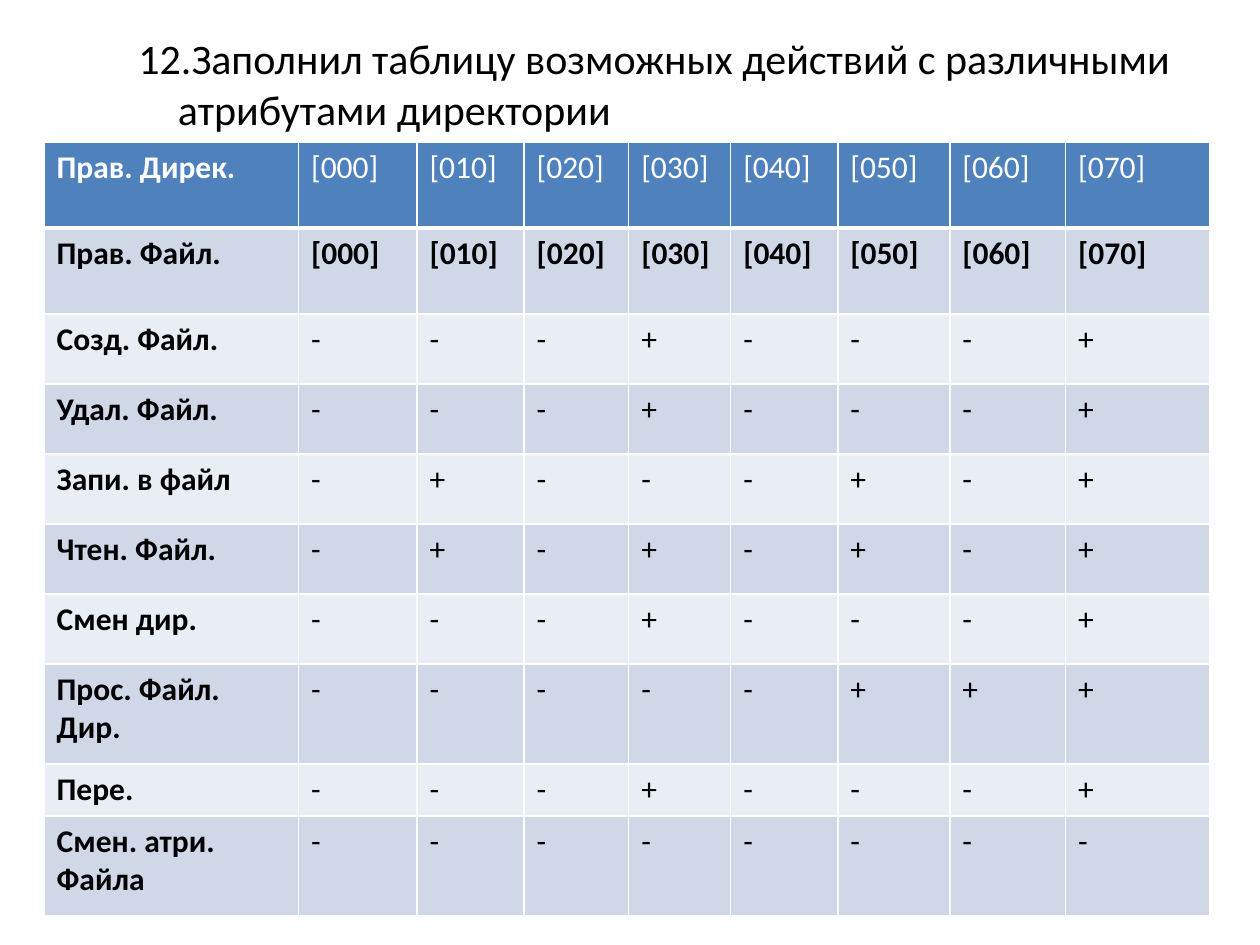
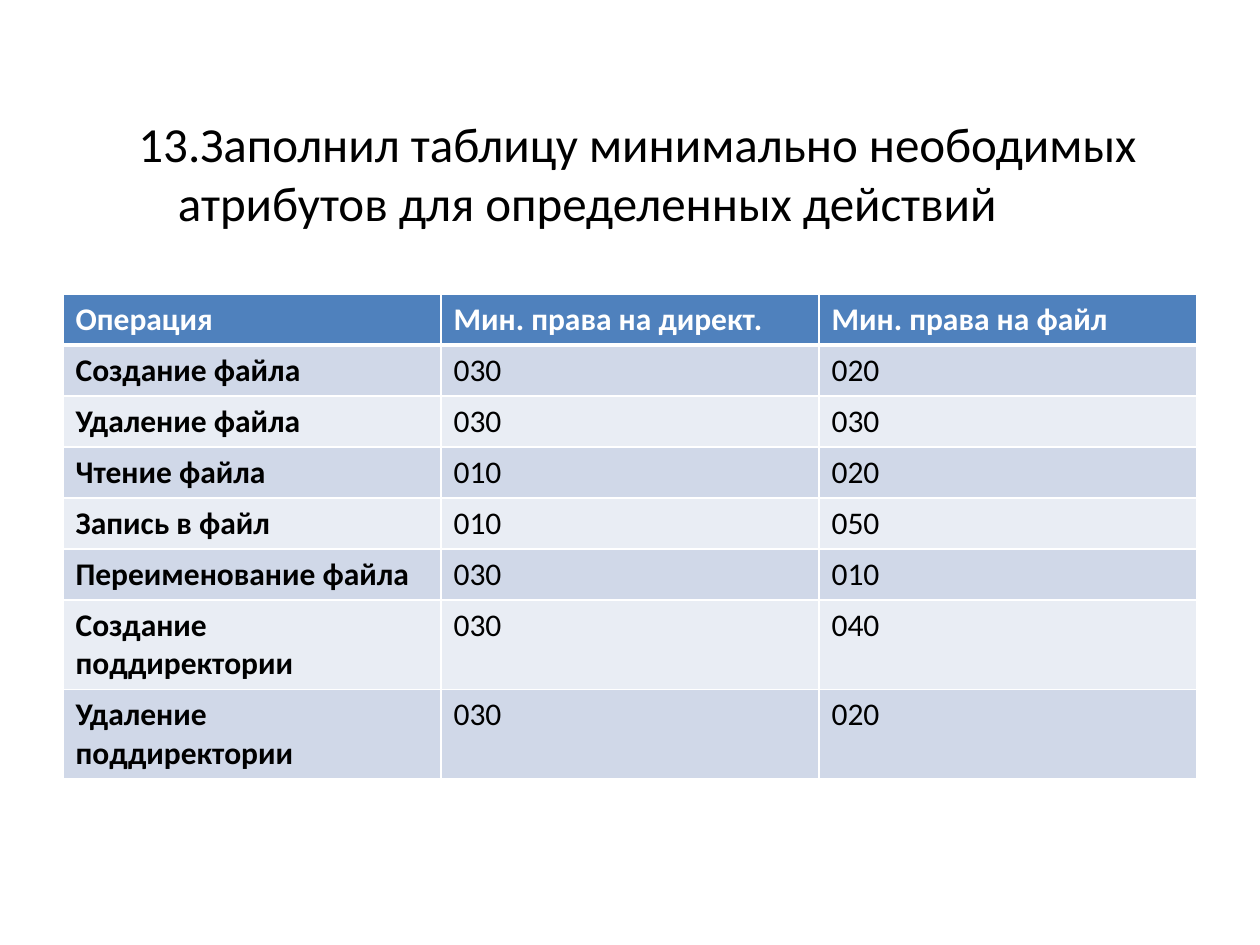
from lxml import etree
from pptx import Presentation
from pptx.dml.color import RGBColor
from pptx.oxml.ns import qn
from pptx.util import Pt

FONT = "Calibri"
BLACK = RGBColor(0x00, 0x00, 0x00)
WHITE = RGBColor(0xFF, 0xFF, 0xFF)
HEADER = RGBColor(0x4F, 0x81, 0xBD)
BANDS = (RGBColor(0xD0, 0xD8, 0xE8), RGBColor(0xE9, 0xED, 0xF4))
CELL_SIZE = 18
BLANK = 6


class Report:
    """Holds the deck style and the current page."""

    def __init__(self):
        self.deck = Presentation()
        self.deck.slide_width, self.deck.slide_height = Pt(720), Pt(540)
        self.page = None

    def new_page(self):
        self.page = self.deck.slides.add_slide(self.deck.slide_layouts[BLANK])

    def add_span(self, para, text, size, color=BLACK, bold=False):
        span = para.add_run()
        span.text = text
        span.font.name = FONT
        span.font.size = Pt(size)
        span.font.bold = bold
        span.font.color.rgb = color

    def step(self, number, text, top, height, size):
        """Numbered step heading with a hanging indent."""
        box = self.page.shapes.add_textbox(Pt(36), Pt(top), Pt(655), Pt(height))
        box.text_frame.word_wrap = True
        para = box.text_frame.paragraphs[0]
        para.level = 1
        para.space_before = Pt(size * 0.2)
        props = para._p.get_or_add_pPr()
        props.set("marL", str(Pt(58.5)))
        props.set("indent", str(-Pt(22.5)))
        etree.SubElement(props, qn("a:buFont"), typeface="+mj-lt")
        etree.SubElement(props, qn("a:buAutoNum"), type="arabicPeriod",
                         startAt=str(number))
        self.add_span(para, text, size)

    def border(self, cell, bottom):
        props = cell._tc.get_or_add_tcPr()
        widths = {"a:lnL": 1, "a:lnR": 1, "a:lnT": 1, "a:lnB": bottom}
        for place, (side, width) in enumerate(widths.items()):
            line = etree.Element(qn(side), w=str(Pt(width)))
            fill = etree.SubElement(line, qn("a:solidFill"))
            etree.SubElement(fill, qn("a:srgbClr"), val=str(WHITE))
            props.insert(place, line)

    def table(self, left, top, widths, heights, rows, is_bold):
        """Banded table; is_bold(row, column) picks the bold cells."""
        frame = self.page.shapes.add_table(
            len(rows), len(widths), Pt(left), Pt(top),
            Pt(sum(widths)), Pt(sum(heights)))
        grid = frame.table
        for column, width in zip(grid.columns, widths):
            column.width = Pt(width)
        for r, (values, height) in enumerate(zip(rows, heights)):
            grid.rows[r].height = Pt(height)
            for c, value in enumerate(values):
                cell = grid.cell(r, c)
                cell.fill.solid()
                cell.fill.fore_color.rgb = BANDS[(r - 1) % 2] if r else HEADER
                self.border(cell, 1 if r else 3)
                self.add_span(cell.text_frame.paragraphs[0], value, CELL_SIZE,
                              BLACK if r else WHITE, is_bold(r, c))


report = Report()

# Page 1: actions allowed by directory attributes
report.new_page()
report.step(12, "Заполнил таблицу возможных действий с различными "
                "атрибутами директории", 15.12, 56.88, 24)
modes = [f"[0{digit}0]" for digit in range(8)]
actions = [
    ("Созд. Файл.", "---+---+"),
    ("Удал. Файл.", "---+---+"),
    ("Запи. в файл", "-+---+-+"),
    ("Чтен. Файл.", "-+-+-+-+"),
    ("Смен дир.", "---+---+"),
    ("Прос. Файл. Дир.", "-----+++"),
    ("Пере.", "---+---+"),
    ("Смен. атри. Файла", "--------"),
]
rights = [["Прав. Дирек.", *modes], ["Прав. Файл.", *modes]]
rights += [[name, *marks] for name, marks in actions]
report.table(
    25.2, 81.36,
    [145.4, 67.7, 61.2, 59.8, 58.3, 61.2, 64, 66.2, 82.4],
    [49, 49] + [40] * 5 + [57.2, 29.8, 57.2],
    rights, lambda r, c: c == 0 or r == 1)

# Page 2: minimum rights for each operation
report.new_page()
report.step(13, "Заполнил таблицу минимально неободимых "
                "атрибутов для определенных действий", 61.2, 79.92, 28)
minimums = [
    ("Операция", "Мин. права на директ.", "Мин. права на файл"),
    ("Создание файла", "030", "020"),
    ("Удаление файла", "030", "030"),
    ("Чтение файла", "010", "020"),
    ("Запись в файл", "010", "050"),
    ("Переименование файла", "030", "010"),
    ("Создание поддиректории", "030", "040"),
    ("Удаление поддиректории", "030", "020"),
]
report.table(36, 168, [216] * 3, [29.15] * 6 + [51.1] * 2,
             minimums, lambda r, c: c == 0 or r == 0)

report.deck.save("out.pptx")
